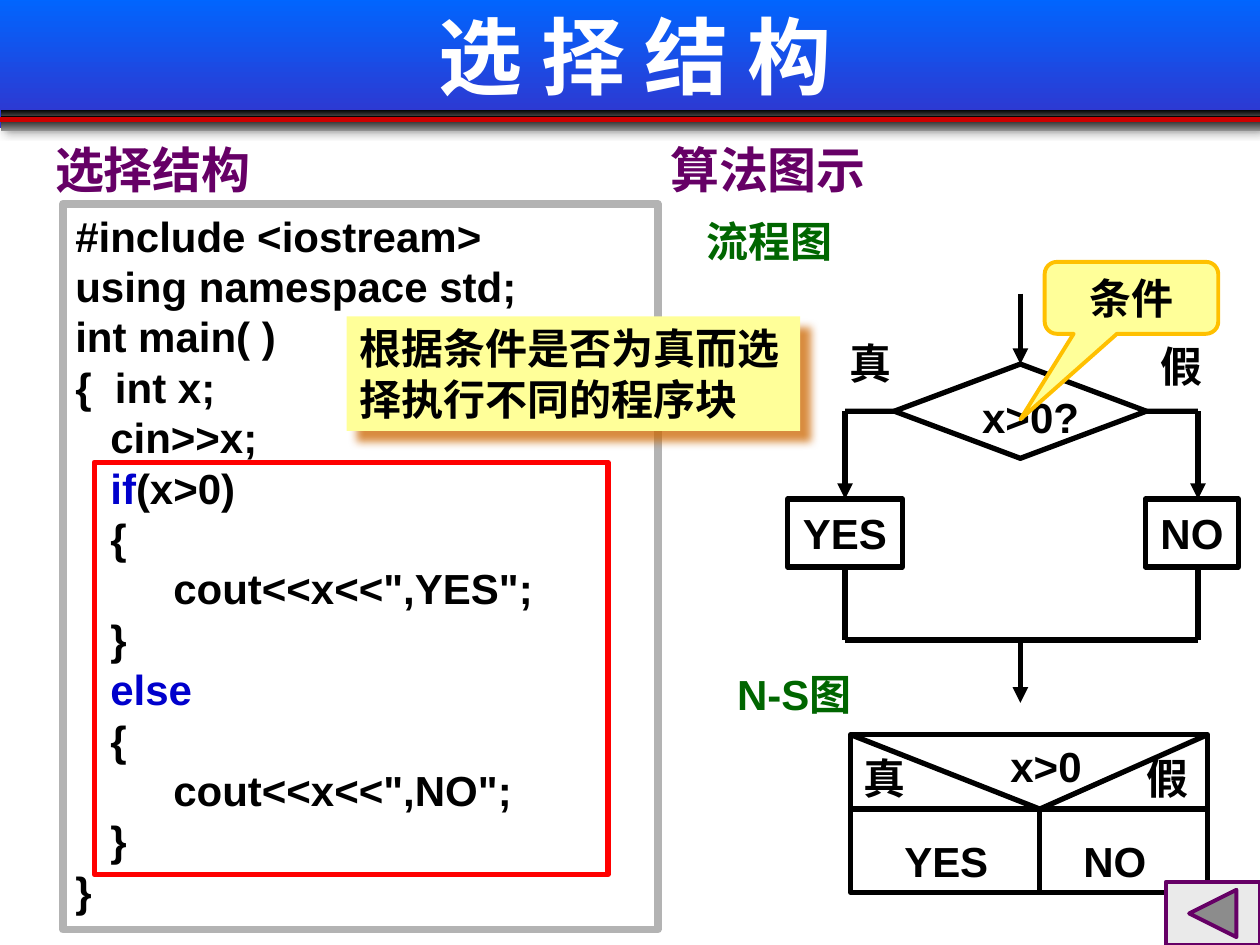
from lxml import etree
from pptx import Presentation
from pptx import util as u
from pptx.dml import color
from pptx.enum import shapes, text
from pptx.oxml import ns

LATIN, CJK = "Arial", "Noto Sans CJK SC"
BLACK, WHITE, PURPLE, GREEN, BLUE = "000000", "FFFFFF", "660066", "006600", "0000CC"
KIND = shapes.MSO_SHAPE
TOP, MIDDLE, BOTTOM = text.MSO_ANCHOR.TOP, text.MSO_ANCHOR.MIDDLE, text.MSO_ANCHOR.BOTTOM
LEFT, CENTER = text.PP_ALIGN.LEFT, text.PP_ALIGN.CENTER

BANDS = [
    ((0, -0.08, 25.4, 2.67), ("0066FF", "3333CC"), ("808080", 5, 3)),
    ((0.03, 2.21, 25.37, 0.3), (BLACK, "929292"), None),
    ((0.03, 2.34, 25.37, 0.3), (BLACK, "929292"), None),
]
CODE = [
    ["#include <iostream>"],
    ["using namespace std;"],
    ["int main( )"],
    ["{  int x;"],
    ["   cin>>x;"],
    ["   ", "if", "(x>0)"],
    ["   {"],
    ["\t   cout<<x<<\",YES\";"],
    ["   }"],
    ["   ", "else"],
    ["   {"],
    ["\t   cout<<x<<\",NO\";"],
    ["   }"],
    ["}"],
]
KEYWORDS = ("if", "else")
LABELS = [
    ("选 择 结 构", (1.27, -0.51, 23.06, 3.23), 48, WHITE, MIDDLE, CENTER),
    ("选择结构", (0.86, 2.69, 7.9, 1.45), 28, PURPLE, MIDDLE, LEFT),
    ("算法图示", (13.26, 2.69, 8.4, 1.45), 28, PURPLE, MIDDLE, LEFT),
    ("流程图", (14, 4.22, 3.78, 1.27), 24, GREEN, BOTTOM, LEFT),
    ("N-S图", (14.61, 13.34, 5.89, 1.27), 24, GREEN, BOTTOM, LEFT),
    ("x>0?", (19.55, 7.77, 3.5, 1.27), 24, BLACK, TOP, LEFT),
    ("真", (16.87, 6.68, 1.37, 1.27), 24, BLACK, MIDDLE, CENTER),
    ("假", (23.14, 6.73, 1.37, 1.27), 24, BLACK, MIDDLE, CENTER),
    ("x>0", (20.12, 14.81, 3.18, 1.27), 24, BLACK, TOP, LEFT),
    ("真", (17.15, 15.04, 1.9, 1.27), 24, BLACK, TOP, LEFT),
    ("假", (22.86, 15.04, 1.9, 1.27), 24, BLACK, TOP, LEFT),
    ("YES", (17.98, 16.71, 2.34, 1.27), 24, BLACK, TOP, LEFT),
    ("NO", (21.59, 16.71, 2.34, 1.27), 24, BLACK, TOP, LEFT),
]
DECISION = (18.03, 7.34, 5.08, 1.9)
YES_BOX = (15.88, 10.06, 2.31, 1.37)
NO_BOX = (23.09, 10.06, 1.88, 1.37)
NS_FRAME = (17.15, 14.81, 7.19, 3.18)


def rgb(value):
    return color.RGBColor.from_string(value)


def write(box, lines, size=24, tint=BLACK, anchor=TOP, align=LEFT, wrap=True):
    frame = box.text_frame
    for name, value in {"word_wrap": wrap, "vertical_anchor": anchor}.items():
        setattr(frame, name, value)
    for index, spans in enumerate(lines):
        para = frame.add_paragraph() if index else frame.paragraphs[0]
        layout = {"alignment": align, "line_spacing": u.Pt(size * 1.2)}
        for name, value in layout.items():
            setattr(para, name, value)
        for words in spans:
            span = para.add_run()
            span.text = words
            for name, value in {"size": u.Pt(size), "bold": True, "name": LATIN}.items():
                setattr(span.font, name, value)
            span.font.color.rgb = rgb(BLUE if words in KEYWORDS else tint)
            latin = span.font._element.find(ns.qn("a:latin"))
            latin.addnext(etree.Element(ns.qn("a:ea"), typeface=CJK))


def add_box(page, at, kind=KIND.RECTANGLE, fill=None, line=None, width=3, shadow=None):
    box = page.shapes.add_shape(kind, *map(u.Cm, at))
    box.shadow.inherit = False
    if isinstance(fill, tuple):
        box.fill.gradient()
        box.fill.gradient_angle = 270
        for stop, value in zip(box.fill.gradient_stops, fill):
            stop.color.rgb = rgb(value)
    elif fill:
        box.fill.solid()
        box.fill.fore_color.rgb = rgb(fill)
    else:
        box.fill.background()
    if line:
        box.line.color.rgb = rgb(line)
        box.line.width = u.Pt(width)
    else:
        box.line.fill.background()
    if shadow:
        tint, blur, distance = shadow
        effects = box._element.spPr.find(ns.qn("a:effectLst"))
        outer = etree.SubElement(
            effects, ns.qn("a:outerShdw"), blurRad=str(u.Pt(blur)),
            dist=str(u.Pt(distance)), dir="2700000", algn="tl", rotWithShape="0")
        shade = etree.SubElement(outer, ns.qn("a:srgbClr"), val=tint)
        etree.SubElement(shade, ns.qn("a:alpha"), val="75000")
    return box


def add_line(page, start, end, arrow=False, begin=None, finish=None, tint=BLACK):
    line = page.shapes.add_connector(
        shapes.MSO_CONNECTOR.STRAIGHT, *map(u.Cm, (*start, *end)))
    line.line.color.rgb = rgb(tint)
    line.line.width = u.Pt(3)
    if arrow:
        etree.SubElement(line.line._get_or_add_ln(), ns.qn("a:tailEnd"), type="triangle")
    etree.SubElement(line._element.spPr, ns.qn("a:effectLst"))
    if begin:
        line.begin_connect(*begin)
    if finish:
        line.end_connect(*finish)


def draw_flowchart(page):
    decision = add_box(page, DECISION, KIND.FLOWCHART_DECISION, line=BLACK)
    yes, no = (add_box(page, at, line=BLACK) for at in (YES_BOX, NO_BOX))
    for box, words in ((yes, "YES"), (no, "NO")):
        write(box, [[words]], anchor=MIDDLE, align=CENTER, wrap=False)
    left, top, width, height = DECISION
    center, level = left + width / 2, top + height / 2
    yes_x, no_x = YES_BOX[0] + YES_BOX[2] / 2, 24.15
    box_top, box_bottom, merge = YES_BOX[1], YES_BOX[1] + YES_BOX[3], 12.9
    add_line(page, (center, 5.92), (center, top), True, finish=(decision, 0))
    add_line(page, (left, level), (yes_x, level), begin=(decision, 1))
    add_line(page, (yes_x, level), (yes_x, box_top), True, finish=(yes, 0))
    add_line(page, (left + width, level), (no_x, level), begin=(decision, 3))
    add_line(page, (no_x, level), (no_x, box_top), True)
    add_line(page, (yes_x, box_bottom), (yes_x, merge), begin=(yes, 2))
    add_line(page, (no_x, box_bottom), (no_x, merge))
    add_line(page, (yes_x, merge), (no_x, merge))
    add_line(page, (center, merge), (center, 14.17), True)


def draw_ns_chart(page):
    add_box(page, NS_FRAME, line=BLACK)
    left, top, width, height = NS_FRAME
    right, bottom = left + width, top + height
    fork = (20.96, 16.31)
    add_line(page, (left, fork[1]), (right, fork[1]))
    for end in ((left, top), (right, top), (fork[0], bottom)):
        add_line(page, fork, end)


def main():
    deck = Presentation()
    deck.slide_width, deck.slide_height = u.Cm(25.4), u.Cm(19.05)
    page = deck.slides.add_slide(deck.slide_layouts[6])
    for at, fill, shadow in BANDS:
        add_box(page, at, fill=fill, shadow=shadow)
    add_line(page, (0, 2.41), (25.4, 2.41), tint="CC0000")
    write(add_box(page, (1.27, 4.11, 11.99, 14.63), line="B3B3B3", width=4.5), CODE)
    add_box(page, (1.9, 9.32, 10.36, 8.31), line="FF0000")
    draw_flowchart(page)
    draw_ns_chart(page)
    for words, at, size, tint, anchor, align in LABELS:
        label = page.shapes.add_textbox(*map(u.Cm, at))
        write(label, [[words]], size, tint, anchor, align)
    callout = add_box(page, (21.06, 5.28, 3.5, 1.45), KIND.ROUNDED_RECTANGULAR_CALLOUT,
                      "FFFF99", "FFC000", 2.25)
    for index, value in enumerate((-0.64, 1.69, 0.17)):
        callout.adjustments[index] = value
    write(callout, [["条件"]], anchor=MIDDLE, align=CENTER)
    note = add_box(page, (6.99, 6.38, 9.14, 2.31), fill="FFFF99", shadow=("CC6600", 5, 8.5))
    write(note, [["根据条件是否为真而选择执行不同的程序块"]])
    add_box(page, (23.5, 17.78, 1.9, 1.27), KIND.ACTION_BUTTON_BACK_OR_PREVIOUS,
            "EAEAEA", PURPLE, 2.25)
    deck.save("out.pptx")


if __name__ == "__main__":
    main()
